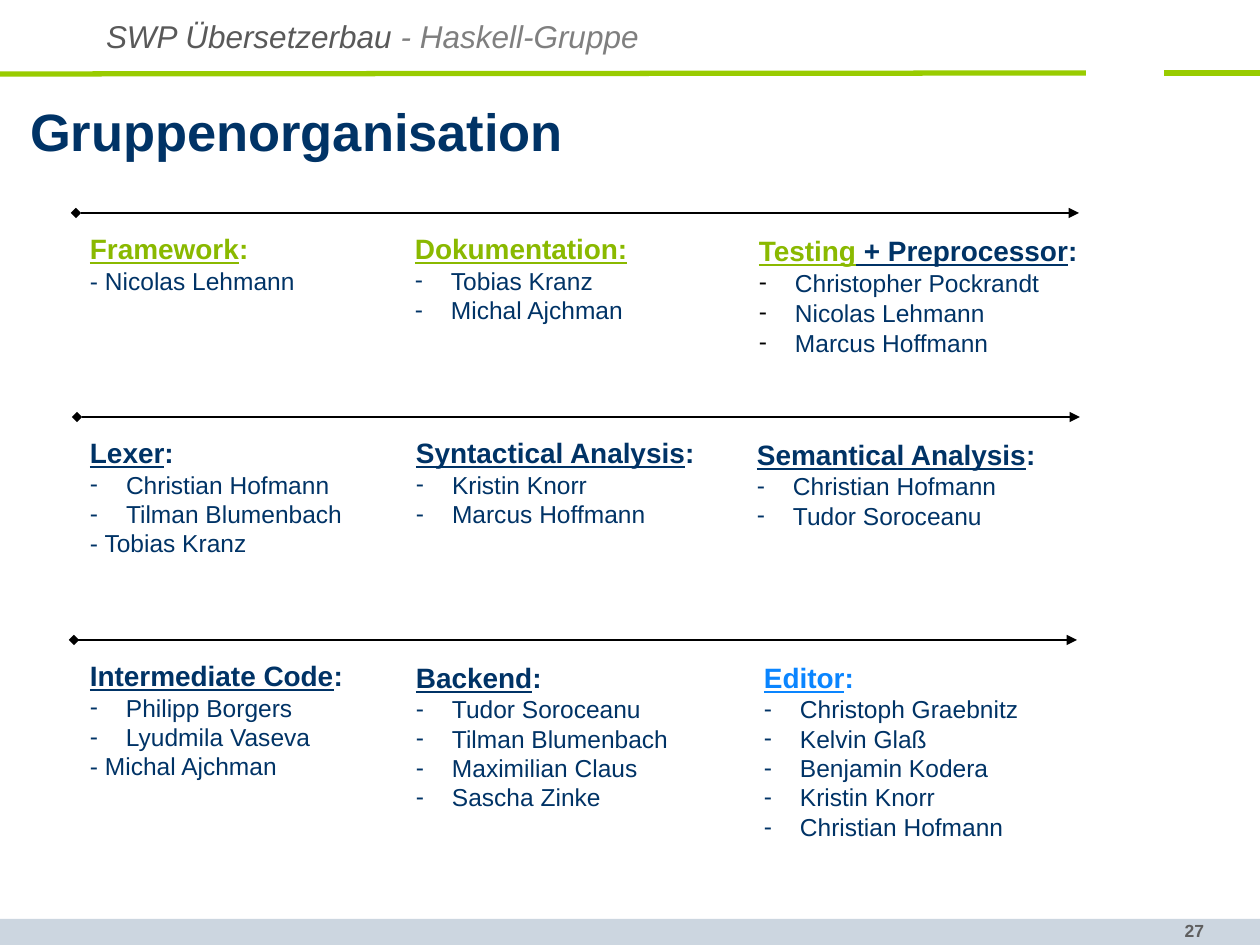
"""Builds the slide on how the project group is organised."""
from lxml.etree import SubElement
from pptx import Presentation
from pptx.dml.color import RGBColor
from pptx.enum.shapes import MSO_CONNECTOR, MSO_SHAPE
from pptx.enum.text import MSO_ANCHOR, MSO_AUTO_SIZE, PP_ALIGN
from pptx.oxml.ns import qn
from pptx.util import Emu, Pt

SCALE = 914400 // 126
NAVY = RGBColor(0x00, 0x33, 0x66)
GREEN = RGBColor(0x8A, 0xB9, 0x00)
LIME = RGBColor(0x99, 0xCC, 0x00)
BLUE = RGBColor(0x0A, 0x85, 0xFF)
BLACK = RGBColor(0x00, 0x00, 0x00)
PALE = RGBColor(0xCC, 0xD6, 0xE0)
DARK_GRAY = RGBColor(0x59, 0x59, 0x59)
MID_GRAY = RGBColor(0x7F, 0x7F, 0x7F)
NUMBER_GRAY = RGBColor(0x5F, 0x5F, 0x5F)


def px(*lengths):
    return [Emu(length * SCALE) for length in lengths]


class Page:
    font = "Arial"
    indent = 36

    def __init__(self, slide):
        self.slide = slide

    def span(self, para, text, size, color, bold=False, italic=False, underline=False):
        span = para.add_run()
        span.text = text
        font = span.font
        font.name, font.size = self.font, Pt(size)
        font.bold, font.italic, font.underline = bold, italic, underline
        font.color.rgb = color

    def box(self, area, inset=(13, 6)):
        frame = self.slide.shapes.add_textbox(*px(*area)).text_frame
        frame.word_wrap = True
        frame.margin_left, frame.margin_top = px(*inset)
        frame.margin_right, frame.margin_bottom = px(*inset)
        return frame

    def title(self, text, area):
        title = self.slide.shapes.title
        title.left, title.top, title.width, title.height = px(*area)
        frame = title.text_frame
        frame.auto_size = MSO_AUTO_SIZE.NONE
        frame.vertical_anchor = MSO_ANCHOR.MIDDLE
        frame.margin_left = frame.margin_top = frame.margin_right = frame.margin_bottom = 0
        para = frame.paragraphs[0]
        para.alignment = PP_ALIGN.LEFT
        para.line_spacing = 0.85
        self.span(para, text, 30, NAVY, bold=True)

    def bar(self, area, color):
        bar = self.slide.shapes.add_shape(MSO_SHAPE.RECTANGLE, *px(*area))
        bar.shadow.inherit = False
        bar.fill.solid()
        bar.fill.fore_color.rgb = color
        bar.line.fill.background()

    def line(self, ends, color, width, arrow=False):
        line = self.slide.shapes.add_connector(MSO_CONNECTOR.STRAIGHT, *px(*ends))
        line.line.color.rgb = color
        line.line.width = Pt(width)
        if arrow:
            outline = line.line._get_or_add_ln()
            SubElement(outline, qn("a:headEnd"), type="diamond")
            SubElement(outline, qn("a:tailEnd"), type="triangle")
        SubElement(line._element.spPr, qn("a:effectLst"))

    def bullet(self, para, color):
        properties = para._p.get_or_add_pPr()
        properties.set("marL", str(self.indent * SCALE))
        properties.set("indent", str(-self.indent * SCALE))
        fill = SubElement(SubElement(properties, qn("a:buClr")), qn("a:srgbClr"))
        fill.set("val", str(color))
        SubElement(properties, qn("a:buFont"), typeface=self.font)
        SubElement(properties, qn("a:buChar"), char="-")

    def team(self, area, heading, names, inset=(13, 6), heading_spacing=1.0,
             name_spacing=1.0, bullet_color=NAVY):
        frame = self.box(area, inset)
        para = frame.paragraphs[0]
        para.line_spacing = heading_spacing
        for text, color, underline in heading:
            self.span(para, text, 16, color, bold=True, underline=underline)
        for name in names:
            para = frame.add_paragraph()
            para.line_spacing = name_spacing
            if not name.startswith("- "):
                self.bullet(para, bullet_color)
            self.span(para, name, 14, NAVY)


def heading(text, color=NAVY):
    return [(text, color, True), (":", color, False)]


deck = Presentation()
deck.slide_width, deck.slide_height = px(1260, 945)
page = Page(deck.slides.add_slide(deck.slide_layouts[5]))

page.bar((0, 919, 1260, 26), PALE)
number = page.box((1048, 914, 169, 33)).paragraphs[0]
number.alignment = PP_ALIGN.RIGHT
page.span(number, "27", 10, NUMBER_GRAY, bold=True)
for ends in ((1086, 73, 0, 74), (1260, 73, 1164, 73)):
    page.line(ends, LIME, 3)

page.title("Gruppenorganisation", (30, 106, 1080, 59))
course = page.box((93, 11, 610, 50)).paragraphs[0]
page.span(course, "SWP Übersetzerbau", 18, DARK_GRAY, italic=True)
page.span(course, " - Haskell-Gruppe", 18, MID_GRAY, italic=True)

for left, top in ((76, 213), (77, 417), (74, 640)):
    page.line((left, top, left + 1003, top), BLACK, 1, arrow=True)

page.team((77, 226, 358, 76), heading("Framework", GREEN), ["- Nicolas Lehmann"])
page.team((402, 226, 253, 135), [("Dokumentation:", GREEN, True)],
          ["Tobias Kranz", "Michal Ajchman"])
page.team((746, 227, 417, 166), [("Testing", GREEN, True)] + heading(" + Preprocessor"),
          ["Christopher Pockrandt", "Nicolas Lehmann", "Marcus Hoffmann"],
          heading_spacing=1.02, name_spacing=1.02, bullet_color=BLACK)

page.team((77, 430, 357, 164), heading("Lexer"),
          ["Christian Hofmann", "Tilman Blumenbach", "- Tobias Kranz"])
page.team((403, 430, 320, 135), heading("Syntactical Analysis"),
          ["Kristin Knorr", "Marcus Hoffmann"])
page.team((757, 437, 377, 171), heading("Semantical Analysis"),
          ["Christian Hofmann", "Tudor Soroceanu"], inset=(0, 0), heading_spacing=1.02)

page.team((77, 653, 352, 164), heading("Intermediate Code"),
          ["Philipp Borgers", "Lyudmila Vaseva", "- Michal Ajchman"])
page.team((416, 660, 377, 171), heading("Backend"),
          ["Tudor Soroceanu", "Tilman Blumenbach", "Maximilian Claus", "Sascha Zinke"],
          inset=(0, 0), heading_spacing=1.02)
page.team((751, 654, 331, 224), heading("Editor", BLUE),
          ["Christoph Graebnitz", "Kelvin Glaß", "Benjamin Kodera", "Kristin Knorr",
           "Christian Hofmann"], heading_spacing=1.02)

deck.save("out.pptx")
